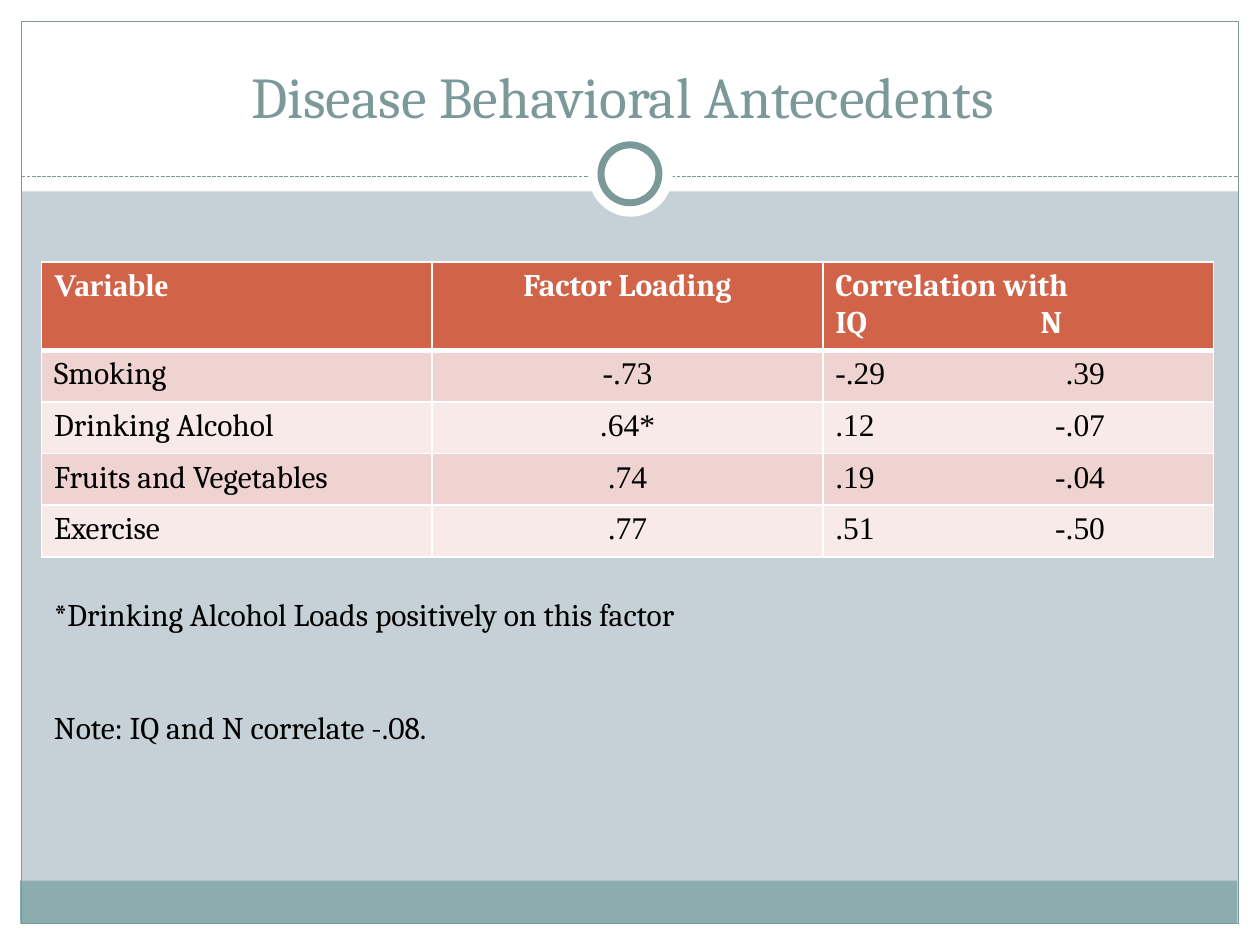
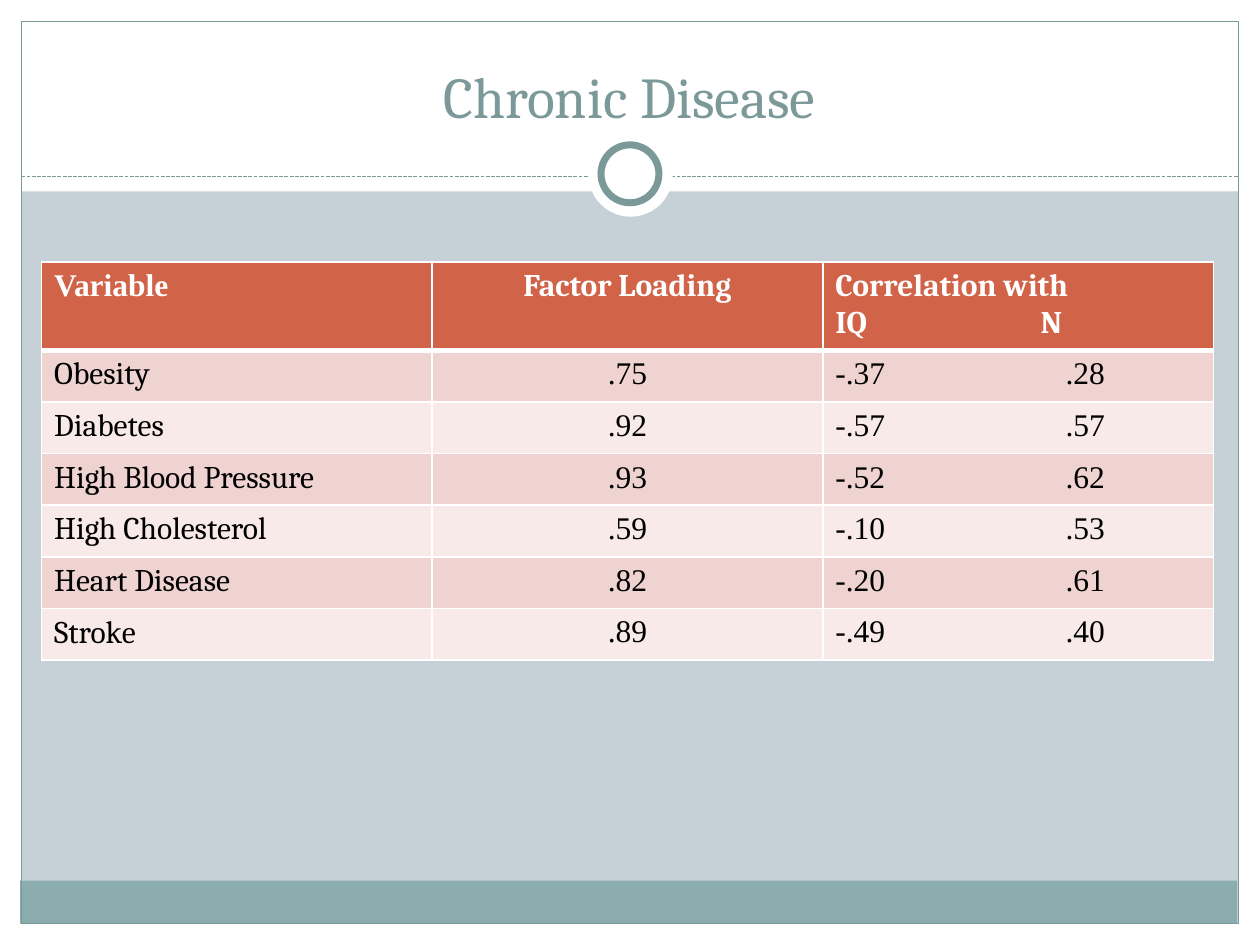
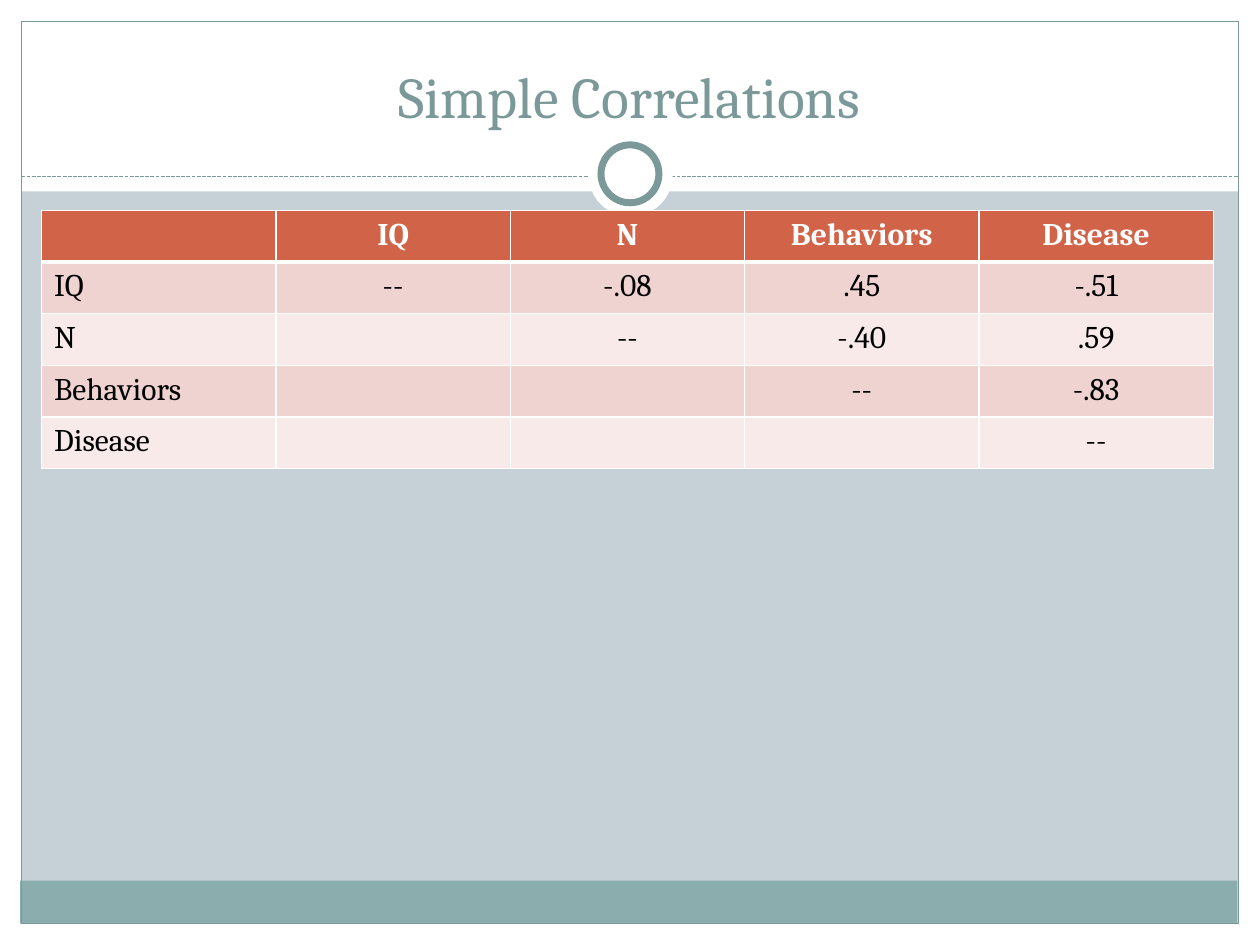
from dataclasses import dataclass

from lxml import etree
from pptx import Presentation
from pptx.dml.color import RGBColor
from pptx.enum.dml import MSO_LINE
from pptx.enum.shapes import MSO_CONNECTOR, MSO_SHAPE
from pptx.enum.text import MSO_ANCHOR, PP_ALIGN
from pptx.oxml.ns import qn
from pptx.slide import Slide
from pptx.util import Inches, Pt

RECT = MSO_SHAPE.RECTANGLE
OVAL = MSO_SHAPE.OVAL
STRAIGHT = MSO_CONNECTOR.STRAIGHT
DASHED = MSO_LINE.SQUARE_DOT
BOTTOM = MSO_ANCHOR.BOTTOM
LEFT, CENTER = PP_ALIGN.LEFT, PP_ALIGN.CENTER

WHITE, BLACK = "FFFFFF", "000000"
BACKDROP, FOOTER, ACCENT = "C5D1D7", "8CADAE", "7C999A"
HEADER_FILL, ROW_FILLS = "D16349", ("EED3D0", "F7EAE9")
SERIF, FIGURES = "Cambria", "Times New Roman"
TABLE_LEFT, TABLE_WIDTH, ROW_HEIGHT = 0.33, 9.3, 0.41
RULE_Y = 1.4


@dataclass(frozen=True)
class Panel:
    left: float
    top: float
    width: float
    height: float
    fill: str | None = WHITE
    line: str | None = None
    line_width: float = 0.75
    shape: MSO_SHAPE = RECT


@dataclass(frozen=True)
class TabStop:
    position: float
    align: str


@dataclass(frozen=True)
class CellStyle:
    font: str = SERIF
    align: PP_ALIGN = CENTER
    tab: TabStop | None = None


@dataclass(frozen=True)
class TableSpec:
    top: float
    header_height: float
    header_styles: list[CellStyle]
    body_styles: list[CellStyle]
    rows: list[list[str]]


BANDS = [
    Panel(0, 7.33, 10, 0.17),
    Panel(0, 0, 10, 1.52),
    Panel(0, 0, 0.17, 7.5),
    Panel(9.83, 0, 0.17, 7.5),
    Panel(0.16, 6.99, 9.66, 0.34, FOOTER),
    Panel(0.17, 0.17, 9.66, 7.16, None, ACCENT),
]
RING = [
    Panel(4.67, 1.05, 0.67, 0.67, shape=OVAL),
    Panel(4.77, 1.15, 0.46, 0.46, WHITE, ACCENT, 4, OVAL),
]

LOADING_HEADER = ["Variable", "Factor Loading", "Correlation with\nIQ\tN"]
LOADING_HEADER_STYLES = [
    CellStyle(FIGURES, LEFT),
    CellStyle(),
    CellStyle(align=LEFT, tab=TabStop(1.63, "l")),
]
LOADING_BODY_STYLES = [
    CellStyle(align=LEFT),
    CellStyle(FIGURES),
    CellStyle(FIGURES, LEFT, TabStop(2.14, "r")),
]


def loading_table(rows: list[list[str]]) -> TableSpec:
    return TableSpec(2.08, 0.68, LOADING_HEADER_STYLES, LOADING_BODY_STYLES,
                     [LOADING_HEADER, *rows])


BEHAVIORS = loading_table([
    ["Smoking", "-.73", "-.29\t.39"],
    ["Drinking Alcohol", ".64*", ".12\t-.07"],
    ["Fruits and Vegetables", ".74", ".19\t-.04"],
    ["Exercise", ".77", ".51\t-.50"],
])
DISEASES = loading_table([
    ["Obesity", ".75", "-.37\t.28"],
    ["Diabetes", ".92", "-.57\t.57"],
    ["High Blood Pressure", ".93", "-.52\t.62"],
    ["High Cholesterol", ".59", "-.10\t.53"],
    ["Heart Disease", ".82", "-.20\t.61"],
    ["Stroke", ".89", "-.49\t.40"],
])
CORRELATION_STYLES = [CellStyle(align=LEFT)] + [CellStyle()] * 4
CORRELATIONS = TableSpec(1.67, ROW_HEIGHT, CORRELATION_STYLES, CORRELATION_STYLES, [
    ["", "IQ", "N", "Behaviors", "Disease"],
    ["IQ", "--", "-.08", ".45", "-.51"],
    ["N", "", "--", "-.40", ".59"],
    ["Behaviors", "", "", "--", "-.83"],
    ["Disease", "", "", "", "--"],
])


def rgb(color: str) -> RGBColor:
    return RGBColor.from_string(color)


def add_run(paragraph, text: str, size: float, color: str,
            font: str = SERIF, bold: bool = False) -> None:
    run = paragraph.add_run()
    run.text = text
    run.font.size = Pt(size)
    run.font.name = font
    run.font.bold = bold
    run.font.color.rgb = rgb(color)


def add_panel(slide: Slide, panel: Panel) -> None:
    shape = slide.shapes.add_shape(
        panel.shape, Inches(panel.left), Inches(panel.top),
        Inches(panel.width), Inches(panel.height))
    shape.shadow.inherit = False
    if panel.fill:
        shape.fill.solid()
        shape.fill.fore_color.rgb = rgb(panel.fill)
    else:
        shape.fill.background()
    if panel.line:
        shape.line.color.rgb = rgb(panel.line)
        shape.line.width = Pt(panel.line_width)
    else:
        shape.line.fill.background()


def add_title_rule(slide: Slide) -> None:
    rule = slide.shapes.add_connector(
        STRAIGHT, Inches(0.17), Inches(RULE_Y), Inches(9.83), Inches(RULE_Y))
    rule.line.color.rgb = rgb(ACCENT)
    rule.line.width = Pt(0.75)
    rule.line.dash_style = DASHED
    etree.SubElement(rule._element.spPr, qn("a:effectLst"))


def add_title(slide: Slide, title: str) -> None:
    box = slide.shapes.add_textbox(Inches(0.33), Inches(0.25), Inches(9.33), Inches(0.83))
    frame = box.text_frame
    frame.word_wrap = True
    frame.vertical_anchor = BOTTOM
    paragraph = frame.paragraphs[0]
    paragraph.alignment = CENTER
    add_run(paragraph, title, 33, ACCENT)


def add_framed_slide(deck, title: str) -> Slide:
    slide = deck.slides.add_slide(deck.slide_layouts[6])
    slide.background.fill.solid()
    slide.background.fill.fore_color.rgb = rgb(BACKDROP)
    for band in BANDS:
        add_panel(slide, band)
    add_title_rule(slide)
    for circle in RING:
        add_panel(slide, circle)
    add_title(slide, title)
    return slide


def set_borders(cell, top: float, bottom: float) -> None:
    properties = cell._tc.get_or_add_tcPr()
    for side, width in (("L", 1), ("R", 1), ("T", top), ("B", bottom)):
        border = etree.SubElement(properties, qn(f"a:ln{side}"), w=str(Pt(width)))
        fill = etree.SubElement(border, qn("a:solidFill"))
        etree.SubElement(fill, qn("a:srgbClr"), val=WHITE)


def set_tab(paragraph, tab: TabStop) -> None:
    stops = etree.SubElement(paragraph._p.get_or_add_pPr(), qn("a:tabLst"))
    etree.SubElement(stops, qn("a:tab"), pos=str(Inches(tab.position)), algn=tab.align)


def fill_cell(cell, text: str, style: CellStyle, row_index: int) -> None:
    is_header = row_index == 0
    set_borders(cell, 3 if row_index == 1 else 1, 3 if is_header else 1)
    cell.fill.solid()
    cell.fill.fore_color.rgb = rgb(HEADER_FILL if is_header else ROW_FILLS[(row_index - 1) % 2])
    if not text:
        return
    frame = cell.text_frame
    for index, line in enumerate(text.split("\n")):
        paragraph = frame.add_paragraph() if index else frame.paragraphs[0]
        paragraph.alignment = style.align
        if style.tab:
            set_tab(paragraph, style.tab)
        add_run(paragraph, line, 18, WHITE if is_header else BLACK, style.font, is_header)


def add_data_table(slide: Slide, spec: TableSpec) -> None:
    row_count, column_count = len(spec.rows), len(spec.rows[0])
    height = spec.header_height + ROW_HEIGHT * (row_count - 1)
    table = slide.shapes.add_table(
        row_count, column_count, Inches(TABLE_LEFT), Inches(spec.top),
        Inches(TABLE_WIDTH), Inches(height)).table
    for column in table.columns:
        column.width = Inches(TABLE_WIDTH / column_count)
    for row_index, texts in enumerate(spec.rows):
        table.rows[row_index].height = Inches(ROW_HEIGHT if row_index else spec.header_height)
        styles = spec.body_styles if row_index else spec.header_styles
        for column_index, (text, style) in enumerate(zip(texts, styles)):
            fill_cell(table.cell(row_index, column_index), text, style, row_index)


def add_footnotes(slide: Slide, first: str, second: str) -> None:
    box = slide.shapes.add_textbox(Inches(0.33), Inches(4.67), Inches(5.63), Inches(1.31))
    frame = box.text_frame
    frame.word_wrap = False
    add_run(frame.paragraphs[0], first, 18, BLACK)
    note = frame.add_paragraph()
    note.space_before = Pt(43)
    add_run(note, second, 18, BLACK)


def main() -> None:
    deck = Presentation()
    deck.slide_width, deck.slide_height = Inches(10), Inches(7.5)

    behaviors = add_framed_slide(deck, "Disease Behavioral Antecedents\t")
    add_data_table(behaviors, BEHAVIORS)
    add_footnotes(behaviors, "*Drinking Alcohol Loads positively on this factor",
                  "Note: IQ and N correlate -.08.")

    diseases = add_framed_slide(deck, "Chronic Disease")
    add_data_table(diseases, DISEASES)

    correlations = add_framed_slide(deck, "Simple Correlations")
    add_data_table(correlations, CORRELATIONS)

    deck.save("out.pptx")


if __name__ == "__main__":
    main()
